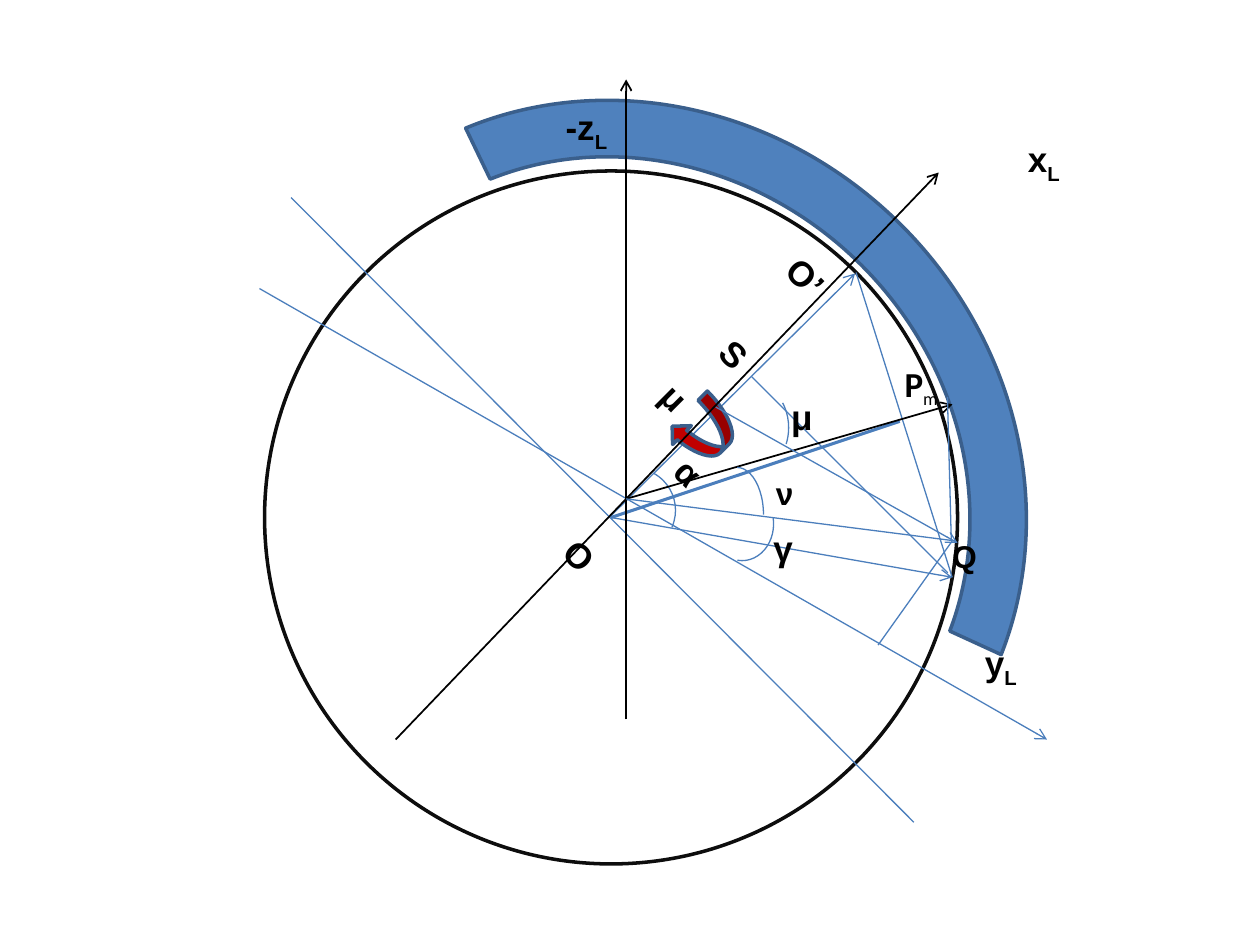
"""Builds the slide with the ring geometry diagram."""
from dataclasses import dataclass

from lxml.etree import SubElement
from pptx import Presentation
from pptx.dml.color import RGBColor
from pptx.enum.shapes import MSO_CONNECTOR, MSO_SHAPE
from pptx.enum.text import MSO_AUTO_SIZE
from pptx.oxml.ns import qn
from pptx.util import Pt

BLACK, BLUE, NAVY = "000000", "4B7EBC", "3A5F8C"


@dataclass
class Ray:
    """A straight line, with or without an arrowhead at its end."""
    start: tuple[float, float]
    end: tuple[float, float]
    arrow: bool = False
    color: str = BLUE
    width: float = 0.75


@dataclass
class Figure:
    """A preset shape given by left, top, width and height."""
    kind: MSO_SHAPE
    frame: tuple[float, float, float, float]
    angles: tuple[float, ...] = ()
    fill: str | None = None
    color: str = BLUE
    width: float = 0.75


@dataclass
class Label:
    """A letter with an optional subscript."""
    text: str
    frame: tuple[float, float, float, float]
    subscript: str = ""
    size: float = 20
    font: str = "Arial"
    subscript_size: float = 20
    subscript_bold: bool = True
    wrap: bool = False


CENTER = (364.3, 296.6)
ORIGIN = (357.8, 285.1)
POINT_Q = (526.3, 182.9)

TILTED = [
    Figure(MSO_SHAPE.OVAL, (166.3, 98.6, 396, 396), color="0D0D0D", width=2),
    Ray((105.8, 296.6), (609.8, 297.4)),
    Ray((363.6, 297.4), (364.3, 99.4), arrow=True),
    Ray(CENTER, POINT_Q, arrow=True),
    Ray((364.3, 98.6), POINT_Q),
    Figure(MSO_SHAPE.BLOCK_ARC, (133.2, 61.2, 460.8, 424.8),
           (119.603, 203.803, 0.076), "4F81BD", NAVY, 2),
    Figure(MSO_SHAPE.CURVED_LEFT_ARROW, (352.1, 206.6, 30.2, 36),
           fill="C00000", color=NAVY, width=2),
    Label("O", (352.1, 308.9, 30.2, 31.7)),
    Label("O’", (328.3, 105.1, 36, 31.7)),
    Label("α", (364.3, 231.1, 27.4, 31.7)),
    Figure(MSO_SHAPE.ARC, (346.3, 260.6, 48.2, 48.2), (152.166, 203.377)),
    Ray(CENTER, (442.1, 141.1), width=1.75),
    Label("μ", (328.3, 206.6, 25.9, 31.7)),
    Ray((522.7, 182.9), (364.3, 182.9)),
    Label("S", (334.1, 164.9, 28.1, 31.7)),
]

UPRIGHT = [
    Ray((148.3, 164.9), (598.3, 422.6), arrow=True),
    Ray((357.8, 411.1), (357.8, 45.4), True, BLACK, 1),
    Ray((226.1, 422.6), (536.4, 98.6), True, BLACK, 1),
    Ray(ORIGIN, (544.3, 231.1), True, BLACK, 1),
    Ray((541.4, 226.8), (543.6, 308.9)),
    Ray((409, 232.6), (547.2, 310.3), arrow=True),
    Ray((544.3, 308.9), (501.8, 368.6)),
    Ray(ORIGIN, (544.3, 308.9)),
    Label("Q", (537.1, 303.1, 28.8, 28.8), size=18),
    Figure(MSO_SHAPE.ARC, (406.1, 267.1, 30.2, 54)),
    Figure(MSO_SHAPE.ARC, (406.1, 278.6, 36, 41.8), (209.514, 58.46)),
    Label("γ", (434.9, 297.4, 23, 31.7)),
    Label("ν", (436.3, 267.1, 23.8, 28.8), size=18),
    Label("x", (580.3, 74.9, 33.8, 31.7), "L"),
    Label("-z", (316.1, 56.9, 39.6, 31.7), "L"),
    Label("y", (555.8, 362.9, 33.8, 31.7), "L"),
    Figure(MSO_SHAPE.ARC, (414.7, 220.3, 36, 48.2), (189.484, 17.703)),
    Label("μ", (445, 222.5, 25.9, 31.7)),
    Label("P", (509.8, 203.8, 41.8, 31.7), "m", font="Calibri",
          subscript_size=18, subscript_bold=False, wrap=True),
]


def paint(target, color: str) -> None:
    """Colour a fill solidly with a hex string."""
    target.solid()
    target.fore_color.rgb = RGBColor.from_string(color)


def draw_ray(canvas, ray: Ray) -> None:
    """Draw a line as a connector without a shadow."""
    points = [Pt(value) for value in (*ray.start, *ray.end)]
    connector = canvas.add_connector(MSO_CONNECTOR.STRAIGHT, *points)
    paint(connector.line.fill, ray.color)
    connector.line.width = Pt(ray.width)
    properties = connector.element.spPr
    if ray.arrow:
        SubElement(properties.find(qn("a:ln")), qn("a:tailEnd"), type="arrow")
    SubElement(properties, qn("a:effectLst"))


def draw_figure(canvas, figure: Figure) -> None:
    """Draw a preset shape with its outline and fill."""
    shape = canvas.add_shape(figure.kind, *[Pt(value) for value in figure.frame])
    shape.shadow.inherit = False
    for index, angle in enumerate(figure.angles):
        shape.adjustments[index] = angle
    if figure.fill:
        paint(shape.fill, figure.fill)
    else:
        shape.fill.background()
    paint(shape.line.fill, figure.color)
    shape.line.width = Pt(figure.width)


def write(para, text: str, *, font: str, size: float, bold: bool = True,
          baseline: int = 0) -> None:
    """Add a formatted span of text to a paragraph."""
    span = para.add_run()
    span.text = text
    span.font.name = font
    span.font.size = Pt(size)
    span.font.bold = bold
    paint(span.font.fill, BLACK)
    if baseline:
        span.font._element.set("baseline", str(baseline))


def draw_label(canvas, label: Label) -> None:
    """Draw a text box holding a letter and its subscript."""
    box = canvas.add_textbox(*[Pt(value) for value in label.frame])
    box.text_frame.word_wrap = label.wrap
    box.text_frame.auto_size = MSO_AUTO_SIZE.SHAPE_TO_FIT_TEXT
    para = box.text_frame.paragraphs[0]
    write(para, label.text, font=label.font, size=label.size)
    if label.subscript:
        write(para, label.subscript, font=label.font, size=label.subscript_size,
              bold=label.subscript_bold, baseline=-25000)


def draw_all(canvas, parts: list[Ray | Figure | Label]) -> None:
    """Draw the parts from back to front."""
    painters = {Ray: draw_ray, Figure: draw_figure, Label: draw_label}
    for part in parts:
        painters[type(part)](canvas, part)


def main() -> None:
    """Build and save the deck."""
    deck = Presentation()
    deck.slide_width, deck.slide_height = Pt(720), Pt(540)
    page = deck.slides.add_slide(deck.slide_layouts[6])
    ring = page.shapes.add_group_shape()
    draw_all(ring.shapes, TILTED)
    ring.rotation = 45
    draw_all(page.shapes, UPRIGHT)
    deck.save("out.pptx")


main()
